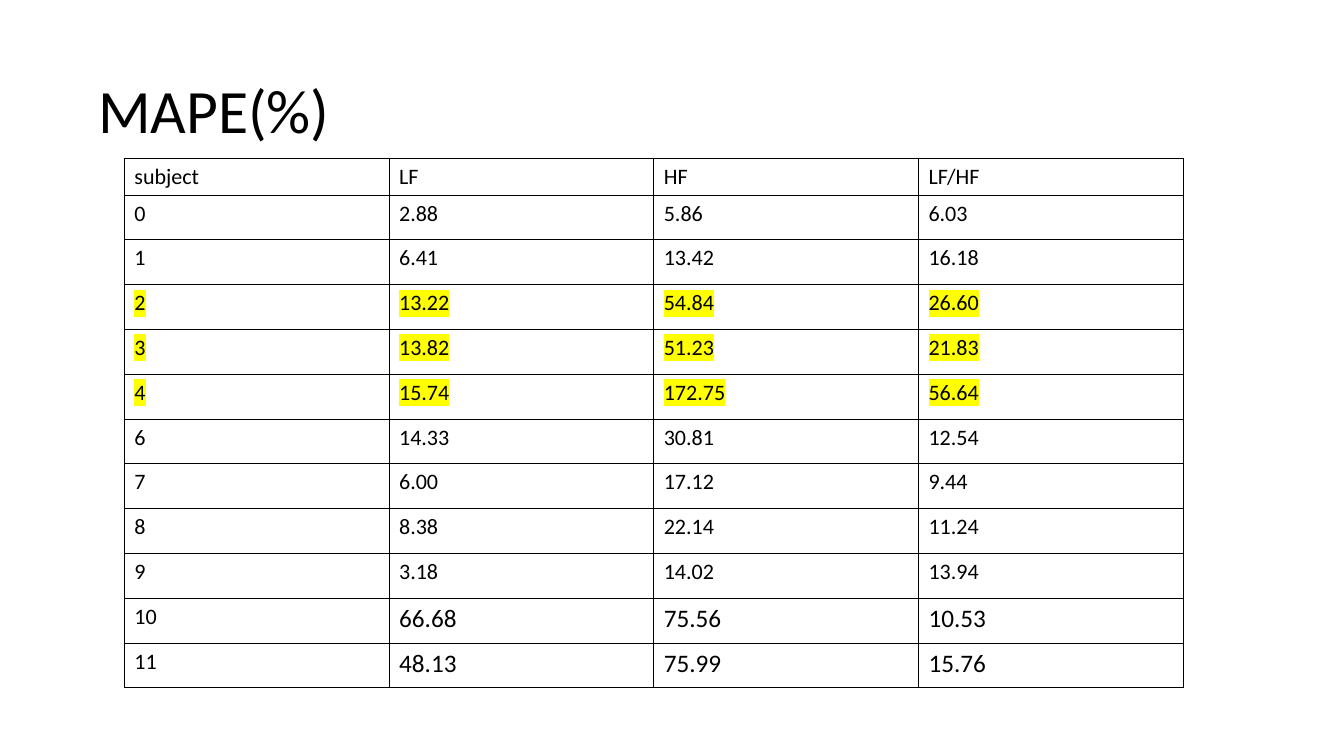
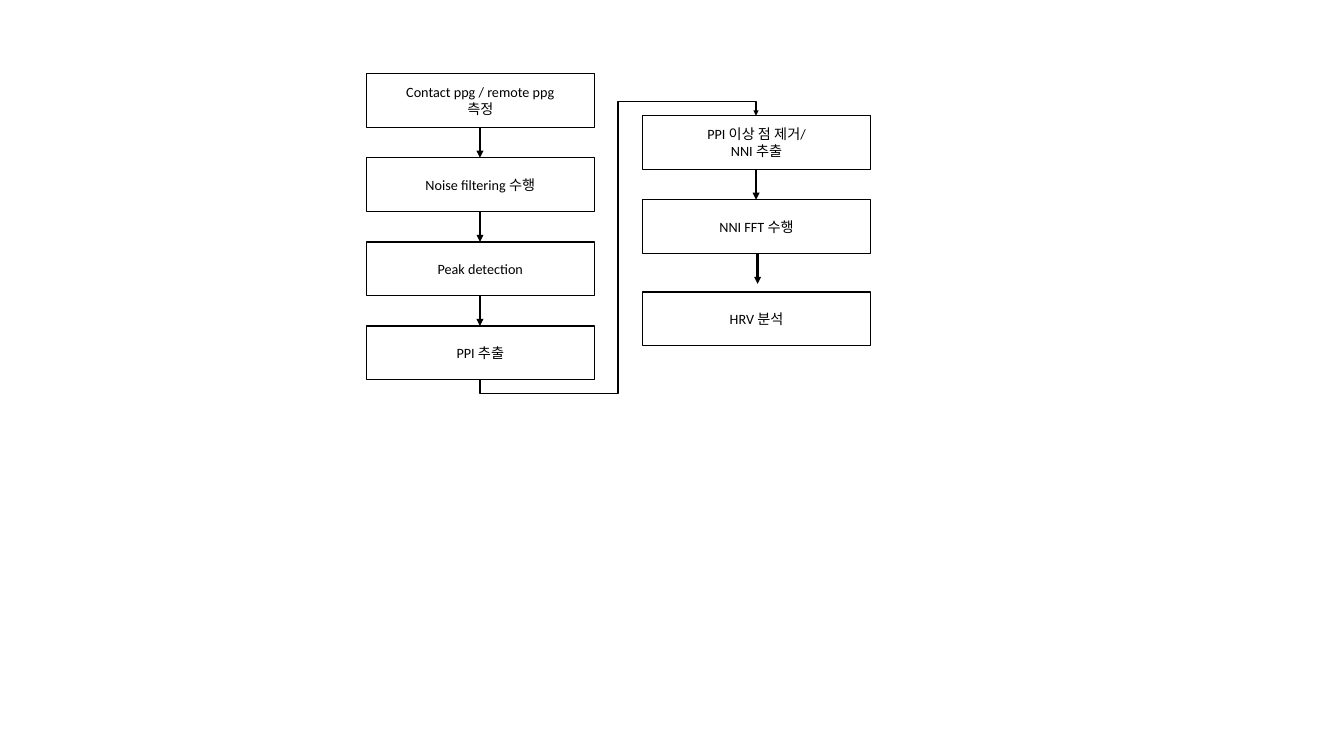
"""Build a results table slide and a signal flow chart slide."""
from typing import NamedTuple

from lxml import etree
from pptx import Presentation
from pptx import util as u
from pptx.dml import color
from pptx.enum import shapes, text
from pptx.oxml import ns

BLACK = color.RGBColor(0, 0, 0)
YELLOW = color.RGBColor(255, 255, 0)
FONT = "Calibri"
BOX_W, BOX_H, PITCH, GAP = 289.4, 68.4, 106.8, 38.4

HEAD = ("subject", "LF", "HF", "LF/HF")
DATA = (
    ("0", "2.88", "5.86", "6.03"),
    ("1", "6.41", "13.42", "16.18"),
    ("2", "13.22", "54.84", "26.60"),
    ("3", "13.82", "51.23", "21.83"),
    ("4", "15.74", "172.75", "56.64"),
    ("6", "14.33", "30.81", "12.54"),
    ("7", "6.00", "17.12", "9.44"),
    ("8", "8.38", "22.14", "11.24"),
    ("9", "3.18", "14.02", "13.94"),
    ("10", "66.68", "75.56", "10.53"),
    ("11", "48.13", "75.99", "15.76"),
)
MARKED = ("2", "3", "4")
LARGE = ("10", "11")


class Step(NamedTuple):
    left: float
    top: float
    lines: tuple[str, ...]


class Arrow(NamedTuple):
    x: float
    top: float


LEFT, RIGHT, TOP, DROP = 465.1, 815.8, 93.6, 146.9
STEPS = (
    Step(LEFT, TOP, ("Contact ppg / remote ppg", "측정")),
    Step(LEFT, TOP + PITCH, ("Noise filtering 수행",)),
    Step(LEFT, TOP + 2 * PITCH, ("Peak detection",)),
    Step(LEFT, TOP + 3 * PITCH, ("PPI 추출",)),
    Step(RIGHT, DROP, ("PPI 이상 점 제거/", "NNI 추출")),
    Step(RIGHT, DROP + PITCH, ("NNI FFT 수행",)),
    Step(RIGHT, 370.8, ("HRV 분석",)),
)
ARROWS = (
    *(Arrow(609.4, TOP + BOX_H + i * PITCH) for i in range(3)),
    Arrow(960, DROP + BOX_H),
    Arrow(961.9, DROP + BOX_H + PITCH),
)


def add_run(para, words: str, size: float, mark: bool = False) -> None:
    run = para.add_run()
    run.text = words
    font = run.font
    font.name, font.size = FONT, u.Pt(size)
    font.color.rgb = BLACK
    if mark:
        fill = run._r.rPr.find(ns.qn("a:solidFill"))
        light = etree.Element(ns.qn("a:highlight"))
        etree.SubElement(light, ns.qn("a:srgbClr"), val=str(YELLOW))
        fill.addnext(light)


def add_edges(cell) -> None:
    props = cell._tc.get_or_add_tcPr()
    for i, side in enumerate(("lnL", "lnR", "lnT", "lnB")):
        edge = etree.Element(ns.qn(f"a:{side}"), w=str(u.Pt(1)))
        fill = etree.SubElement(edge, ns.qn("a:solidFill"))
        etree.SubElement(fill, ns.qn("a:srgbClr"), val=str(BLACK))
        props.insert(i, edge)


def add_title(slide, words: str) -> None:
    box = slide.shapes.add_textbox(u.Pt(117.4), u.Pt(51.1), u.Pt(1471.7), u.Pt(185.8))
    frame = box.text_frame
    frame.word_wrap = True
    frame.vertical_anchor = text.MSO_ANCHOR.MIDDLE
    para = frame.paragraphs[0]
    para.line_spacing = 0.9
    add_run(para, words, 78.2)


def add_grid(slide) -> None:
    rows = (HEAD, *DATA)
    frame = slide.shapes.add_table(
        len(rows), len(HEAD), u.Pt(157.7), u.Pt(200.9), u.Pt(1344.4), u.Pt(672))
    table = frame.table
    table.first_row = table.horz_banding = False
    for r, row in enumerate(rows):
        table.rows[r].height = u.Pt(56.9 if r else 46)
        for c, words in enumerate(row):
            cell = table.cell(r, c)
            cell.margin_left = cell.margin_right = u.Pt(13)
            cell.margin_top = cell.margin_bottom = u.Pt(6.5)
            cell.fill.background()
            add_edges(cell)
            size = 32 if c and row[0] in LARGE else 28
            add_run(cell.text_frame.paragraphs[0], words, size, row[0] in MARKED)


def add_step(slide, step: Step) -> None:
    box = slide.shapes.add_shape(
        shapes.MSO_SHAPE.RECTANGLE, u.Pt(step.left), u.Pt(step.top), u.Pt(BOX_W), u.Pt(BOX_H))
    box.shadow.inherit = False
    box.fill.background()
    box.line.color.rgb = BLACK
    box.line.width = u.Pt(1.5)
    frame = box.text_frame
    frame.word_wrap = True
    frame.vertical_anchor = text.MSO_ANCHOR.MIDDLE
    for i, words in enumerate(step.lines):
        para = frame.add_paragraph() if i else frame.paragraphs[0]
        para.alignment = text.PP_ALIGN.CENTER
        add_run(para, words, 18)


def add_link(slide, kind, x1: float, y1: float, x2: float, y2: float, width: float):
    link = slide.shapes.add_connector(kind, u.Pt(x1), u.Pt(y1), u.Pt(x2), u.Pt(y2))
    link.line.color.rgb = BLACK
    link.line.width = u.Pt(width)
    props = link._element.spPr
    etree.SubElement(props.find(ns.qn("a:ln")), ns.qn("a:tailEnd"), type="triangle")
    etree.SubElement(props, ns.qn("a:effectLst"))
    return link


def add_bend(slide) -> None:
    link = add_link(slide, shapes.MSO_CONNECTOR.ELBOW, 951.9, 489.7, 617.1, 139, 2.25)
    props = link._element.spPr
    props.find(ns.qn("a:xfrm")).set("rot", "5400000")
    geom = props.find(ns.qn("a:prstGeom"))
    geom.set("prst", "bentConnector5")
    guides = geom.find(ns.qn("a:avLst"))
    for i, value in enumerate((-5400, 50000, 105400), 1):
        etree.SubElement(guides, ns.qn("a:gd"), name=f"adj{i}", fmla=f"val {value}")


def main() -> None:
    deck = Presentation()
    deck.slide_width, deck.slide_height = u.Pt(1706.4), u.Pt(960)
    blank = deck.slide_layouts[6]
    score = deck.slides.add_slide(blank)
    add_title(score, "MAPE(%)")
    add_grid(score)
    flow = deck.slides.add_slide(blank)
    for step in STEPS:
        add_step(flow, step)
    for x, top in ARROWS:
        add_link(flow, shapes.MSO_CONNECTOR.STRAIGHT, x, top, x, top + GAP, 3)
    add_bend(flow)
    deck.save("out.pptx")


if __name__ == "__main__":
    main()
